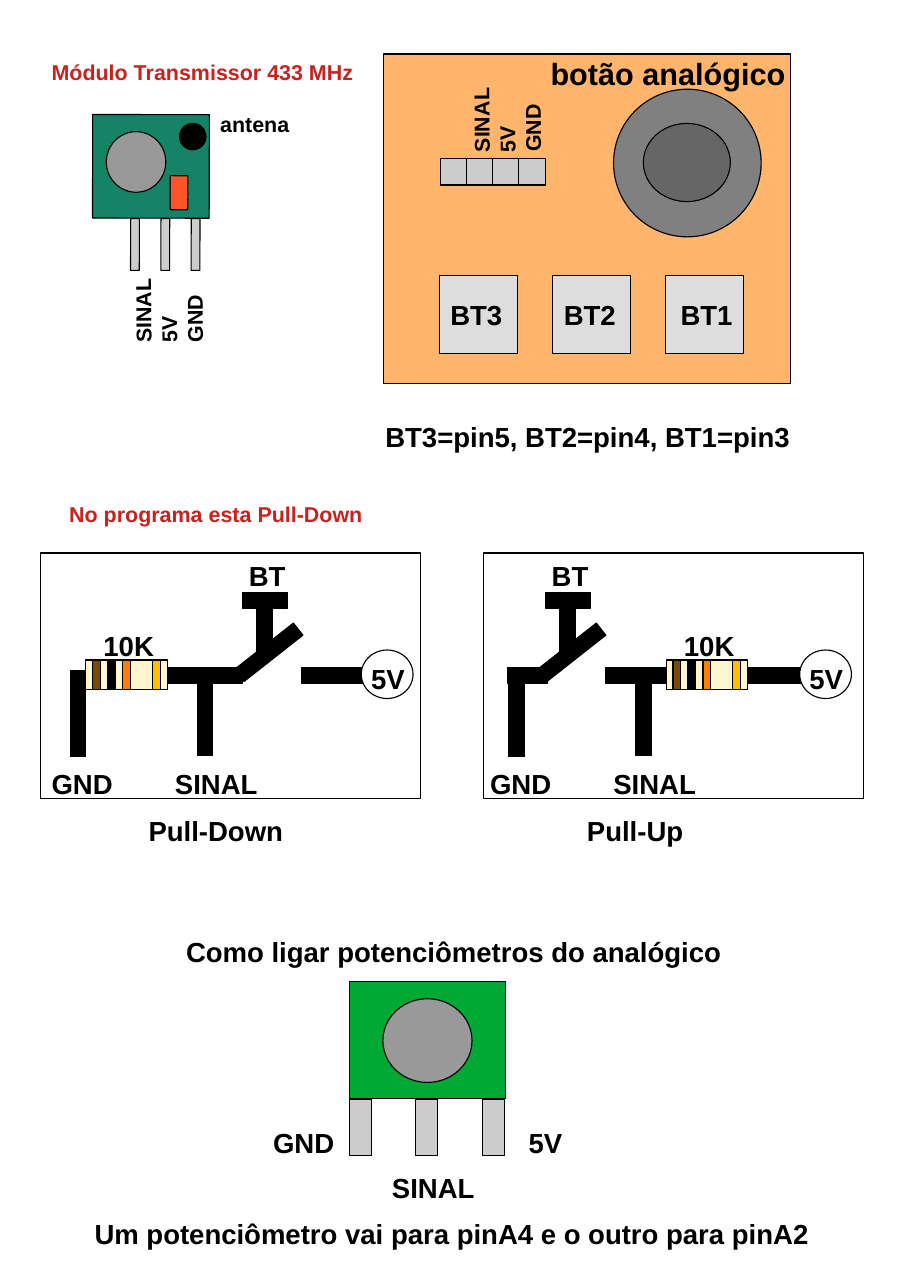
from pptx import Presentation
from pptx.dml.color import RGBColor
from pptx.enum.shapes import MSO_SHAPE
from pptx.enum.text import MSO_AUTO_SIZE
from pptx.util import Inches, Pt

COLORS = {
    "black": "000000", "white": "FFFFFF", "red": "C9211E", "orange": "FFB66C",
    "button": "DDDDDD", "pin": "CCCCCC", "knob": "999999",
    "stick_base": "808080", "stick_top": "666666",
    "module": "158466", "part": "FF5429", "potentiometer": "00A933",
    "resistor": "FFF5CE", "brown_band": "784B04",
    "orange_band": "FF8000", "gold_band": "FFBF00",
}


class Diagram:
    def __init__(self, slide, font="Arial"):
        self.slide = slide
        self.font = font

    def _shape(self, kind, left, top, width, height, color, turn):
        shape = self.slide.shapes.add_shape(
            kind, Inches(left), Inches(top), Inches(width), Inches(height))
        shape.shadow.inherit = False
        shape.rotation = turn
        shape.fill.solid()
        shape.fill.fore_color.rgb = RGBColor.from_string(COLORS[color])
        shape.line.color.rgb = RGBColor.from_string(COLORS["black"])
        shape.line.width = Pt(0)

    def rect(self, left, top, width, height, color, turn=0):
        self._shape(MSO_SHAPE.RECTANGLE, left, top, width, height, color, turn)

    def oval(self, left, top, width, height, color, turn=0):
        self._shape(MSO_SHAPE.OVAL, left, top, width, height, color, turn)

    def wire(self, left, top, width, height, turn=0):
        self.rect(left, top, width, height, "black", turn)

    def label(self, left, top, width, height, *lines, size=18, color="black", turn=0):
        box = self.slide.shapes.add_textbox(
            Inches(left), Inches(top), Inches(width), Inches(height))
        box.rotation = turn
        frame = box.text_frame
        frame.word_wrap = True
        frame.auto_size = MSO_AUTO_SIZE.SHAPE_TO_FIT_TEXT
        for index, line in enumerate(lines):
            paragraph = frame.add_paragraph() if index else frame.paragraphs[0]
            run = paragraph.add_run()
            run.text = line
            run.font.name = self.font
            run.font.size = Pt(size)
            run.font.bold = True
            run.font.color.rgb = RGBColor.from_string(COLORS[color])

    def pin_names(self, left, top):
        self.label(left, top, 0.91, 0.75, "SINAL", "5V", "GND", size=14, turn=269.5)

    def circuit(self, name, panel, base, switch, resistor):
        """Draws one button circuit; base, switch and resistor are left edges."""
        self.rect(panel, 5.02, 3.45, 2.23, "white")

        # Wires
        self.wire(base + 1.15, 6.12, 0.14, 0.74)
        self.wire(base + 0.88, 6.06, 0.68, 0.14)
        self.wire(base + 2.1, 6.06, 0.68, 0.14)
        self.wire(base, 6.09, 0.14, 0.78)

        # Push button
        self.wire(switch, 5.85, 0.68, 0.14, turn=321.8)
        self.wire(switch + 0.23, 5.45, 0.14, 0.54)
        self.wire(switch + 0.1, 5.38, 0.41, 0.14)
        self.label(switch + 0.06, 5.02, 0.71, 0.57, "BT")

        # Resistor with colour bands
        self.rect(resistor, 5.99, 0.74, 0.27, "resistor")
        bands = {0: "brown_band", 1: "black", 2: "orange_band", 4: "gold_band"}
        for place, color in bands.items():
            self.rect(resistor + 0.06 + place * 0.136, 5.99, 0.07, 0.27, color)
        self.label(resistor + 0.06, 5.66, 0.71, 0.38, "10K")

        # Terminals and name
        self.oval(base + 2.64, 5.9, 0.47, 0.44, "white")
        self.label(base + 2.63, 5.96, 0.64, 0.66, "5V")
        self.label(base - 0.27, 6.91, 0.91, 0.66, "GND")
        self.label(base + 0.85, 6.91, 1.13, 0.66, "SINAL")
        self.label(base + 0.61, 7.34, 1.49, 0.57, name)


def draw_controller(diagram):
    diagram.rect(3.48, 0.49, 3.7, 2.99, "orange")
    buttons = [("BT3", 3.99, 0.83), ("BT2", 4.99, 0.75), ("BT1", 6.08, 0.75)]
    buttons[1] = ("BT2", 5.02, 0.75)
    for index, (name, name_left, name_width) in enumerate(buttons):
        diagram.rect(3.99 + index * 1.025, 2.5, 0.71, 0.71, "button")
        diagram.label(name_left, 2.66, name_width, 0.66, name)
    diagram.oval(5.57, 0.81, 1.34, 1.34, "stick_base")
    diagram.oval(5.84, 1.12, 0.79, 0.71, "stick_top")
    for index in range(4):
        diagram.rect(4 + index * 0.237, 1.44, 0.24, 0.24, "pin")
    diagram.pin_names(4.12, 0.65)
    diagram.label(4.9, 0.45, 2.36, 0.41, "botão analógico", size=20)
    diagram.label(3.4, 3.76, 4.04, 0.38, "BT3=pin5, BT2=pin4, BT1=pin3")


def draw_transmitter(diagram):
    turn = 90.1
    diagram.label(0.37, 0.49, 2.99, 0.54, "Módulo Transmissor 433 MHz",
                  size=14, color="red")
    diagram.label(1.9, 0.96, 0.91, 0.32, "antena", size=14)
    diagram.rect(0.9, 0.98, 0.94, 1.06, "module", turn)
    for index in range(3):
        diagram.rect(0.99 + index * 0.275, 2.18, 0.47, 0.08, "pin", turn)
    diagram.oval(0.96, 1.2, 0.55, 0.54, "knob", turn)
    diagram.oval(1.63, 1.12, 0.24, 0.24, "black", turn)
    diagram.rect(1.47, 1.67, 0.31, 0.16, "part", turn)
    diagram.pin_names(1.05, 2.38)


def draw_circuits(diagram):
    diagram.label(0.53, 4.5, 2.99, 0.54, "No programa esta Pull-Down",
                  size=14, color="red")
    diagram.circuit("Pull-Down", panel=0.37, base=0.64, switch=2.1, resistor=0.78)
    diagram.circuit("Pull-Up", panel=4.39, base=4.62, switch=4.85, resistor=6.05)
    diagram.wire(4.61, 6.06, 0.36, 0.14)  # joins GND to the Pull-Up switch


def draw_potentiometer(diagram):
    diagram.label(1.59, 8.44, 5.28, 0.38, "Como ligar potenciômetros do analógico")
    diagram.rect(3.17, 8.91, 1.42, 1.06, "potentiometer")
    for index in range(3):
        diagram.rect(3.17 + index * 0.605, 9.98, 0.2, 0.51, "pin")
    diagram.oval(3.5, 9.04, 0.76, 0.81, "knob", turn=90.1)
    diagram.label(2.38, 10.17, 0.91, 0.66, "GND")
    diagram.label(4.7, 10.17, 0.91, 0.66, "5V")
    diagram.label(3.46, 10.58, 1.13, 0.38, "SINAL")
    diagram.label(0.76, 11, 6.77, 0.66,
                  "Um potenciômetro vai para pinA4 e o outro para pinA2")


def main():
    presentation = Presentation()
    presentation.slide_width = Inches(8.27)
    presentation.slide_height = Inches(11.69)
    diagram = Diagram(presentation.slides.add_slide(presentation.slide_layouts[6]))
    draw_controller(diagram)
    draw_transmitter(diagram)
    draw_circuits(diagram)
    draw_potentiometer(diagram)
    presentation.save("out.pptx")


if __name__ == "__main__":
    main()
